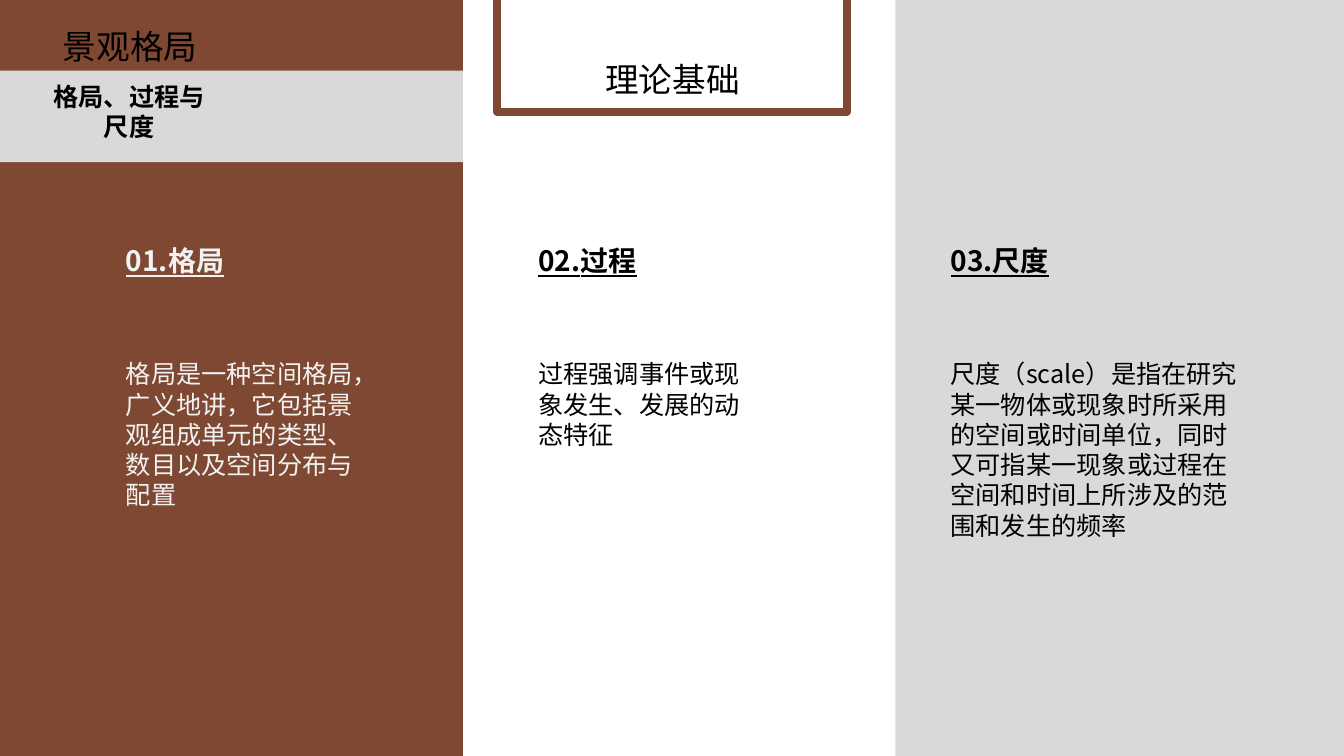
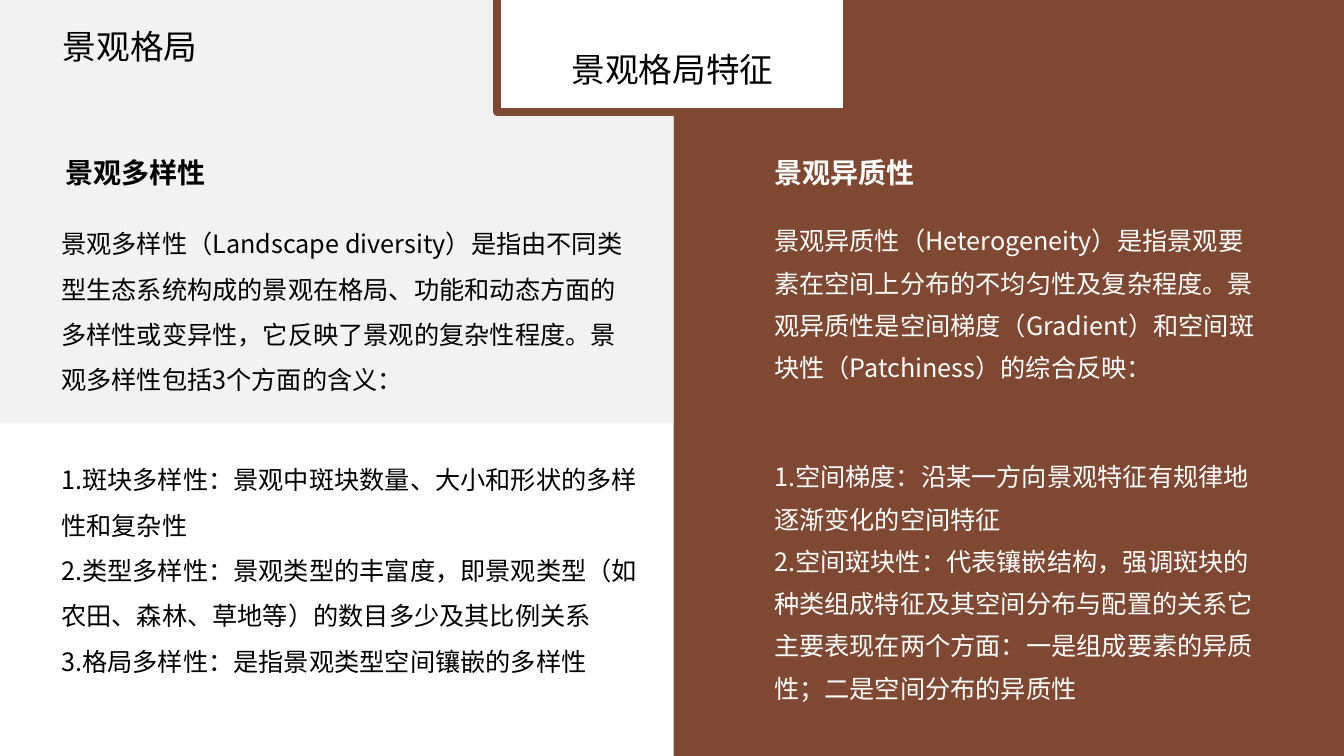
"""Builds two slides on landscape pattern: its theory and its features."""
from lxml import etree
from pptx import Presentation
from pptx.dml.color import RGBColor
from pptx.enum.shapes import MSO_SHAPE as SHAPE
from pptx.enum.text import MSO_ANCHOR as ANCHOR, PP_ALIGN as ALIGN
from pptx.oxml.ns import qn
from pptx.util import Inches, Pt

COLORS = {
    "brown": "7E4832",
    "gray": "D9D9D9",
    "pale": "F2F2F2",
    "white": "FFFFFF",
    "black": "000000",
}
FONT = "Noto Sans CJK SC"
SLIDE_WIDTH, SLIDE_HEIGHT = 13.33, 7.5
TITLE_SIZE, HEADING_SIZE, BODY_SIZE = 24, 20, 18


def rgb(name):
    return RGBColor.from_string(COLORS[name])


def add_panel(slide, left, top, width, height, fill, border=None):
    shape = slide.shapes.add_shape(
        SHAPE.RECTANGLE, Inches(left), Inches(top), Inches(width), Inches(height))
    shape.shadow.inherit = False
    shape.fill.solid()
    shape.fill.fore_color.rgb = rgb(fill)
    if border:
        shape.line.color.rgb = rgb(border)
        shape.line.width = Pt(5.5)
    else:
        shape.line.fill.background()


def format_run(run, size, color, bold, underline):
    font = run.font
    font.size, font.bold, font.underline = Pt(size), bold, underline
    font.color.rgb = rgb(color)
    font.name = FONT
    east_asian = etree.Element(qn("a:ea"), typeface=FONT)
    font._element.find(qn("a:latin")).addnext(east_asian)


def add_text(slide, left, top, width, height, text, size=BODY_SIZE, color="black",
             bold=None, underline=None, align=ALIGN.LEFT, anchor=ANCHOR.TOP,
             spacing=None):
    box = slide.shapes.add_textbox(
        Inches(left), Inches(top), Inches(width), Inches(height))
    frame = box.text_frame
    frame.word_wrap = True
    frame.vertical_anchor = anchor
    frame.text = text
    for paragraph in frame.paragraphs:
        paragraph.alignment = align
        paragraph.line_spacing = spacing
        for run in paragraph.runs:
            format_run(run, size, color, bold, underline)


def add_title(slide, left, top, width, text):
    add_text(slide, left, top, width, 0.69, text, TITLE_SIZE,
             align=ALIGN.CENTER, anchor=ANCHOR.BOTTOM, spacing=0.9)


def add_heading(slide, left, top, height, text, color, underline=None):
    add_text(slide, left, top, 3.29, height, text, HEADING_SIZE, color,
             bold=True, underline=underline, anchor=ANCHOR.MIDDLE)


def add_header(slide, title, title_top):
    add_panel(slide, 4.93, -0.6, 3.47, 1.71, "white", "brown")
    add_title(slide, 5.12, title_top, 3.1, title)
    add_title(slide, 0.02, 0.02, 2.54, "景观格局")


def build_theory(slide):
    add_panel(slide, 8.88, 0, SLIDE_WIDTH - 8.88, SLIDE_HEIGHT, "gray")
    add_panel(slide, 0, 0, 4.59, SLIDE_HEIGHT, "brown")
    add_panel(slide, 0, 0.7, 4.59, 0.91, "gray")
    add_header(slide, "理论基础", 0.35)
    add_text(slide, 0.43, 0.76, 1.7, 0.71, "格局、过程与尺度",
             bold=True, align=ALIGN.CENTER)
    columns = [
        ("01.格局", "pale", 2.64, 1.62,
         "格局是一种空间格局，广义地讲，它包括景观组成单元的类型、数目以及空间分布与配置"),
        ("02.过程", "black", 2.25, 0.73,
         "过程强调事件或现象发生、发展的动态特征"),
        ("03.尺度", "black", 3.17, 3.35,
         "尺度（scale）是指在研究某一物体或现象时所采用的空间或时间单位，"
         "同时又可指某一现象或过程在空间和时间上所涉及的范围和发生的频率"),
    ]
    for index, (heading, color, width, height, body) in enumerate(columns):
        left = 1.15 + 4.09 * index
        add_heading(slide, left, 2.29, 0.59, heading, color, underline=True)
        add_text(slide, left, 3.51, width, height, body, color=color)


def build_features(slide):
    add_panel(slide, 6.68, 0, SLIDE_WIDTH - 6.68, SLIDE_HEIGHT, "brown")
    add_panel(slide, 0, 0, 6.68, 4.2, "pale")
    add_header(slide, "景观格局特征", 0.25)

    add_heading(slide, 0.55, 1.47, 0.48, "景观多样性", "black")
    add_text(slide, 0.51, 2.07, 5.77, 2.14,
             "景观多样性（Landscape diversity）是指由不同类型生态系统构成的景观在格局、"
             "功能和动态方面的多样性或变异性，它反映了景观的复杂性程度。"
             "景观多样性包括3个方面的含义：", spacing=1.5)
    add_text(slide, 0.51, 4.41, 6.01, 2.9,
             "1.斑块多样性：景观中斑块数量、大小和形状的多样性和复杂性\n"
             "2.类型多样性：景观类型的丰富度，即景观类型（如农田、森林、草地等）"
             "的数目多少及其比例关系\n"
             "3.格局多样性：是指景观类型空间镶嵌的多样性", spacing=1.5)

    add_heading(slide, 7.58, 1.47, 0.48, "景观异质性", "white")
    add_text(slide, 7.58, 2.07, 5.04, 2,
             "景观异质性（Heterogeneity）是指景观要素在空间上分布的不均匀性及复杂程度。"
             "景观异质性是空间梯度（Gradient）和空间斑块性（Patchiness）的综合反映：",
             color="white", spacing=1.4)
    add_text(slide, 7.58, 4.41, 5.04, 2.9,
             "1.空间梯度：沿某一方向景观特征有规律地逐渐变化的空间特征\n"
             "2.空间斑块性：代表镶嵌结构，强调斑块的种类组成特征及其空间分布与配置的关系"
             "它主要表现在两个方面：一是组成要素的异质性；二是空间分布的异质性",
             color="white", spacing=1.4)


def main():
    presentation = Presentation()
    presentation.slide_width = Inches(SLIDE_WIDTH)
    presentation.slide_height = Inches(SLIDE_HEIGHT)
    blank = presentation.slide_layouts[6]
    for build in (build_theory, build_features):
        build(presentation.slides.add_slide(blank))
    presentation.save("out.pptx")


if __name__ == "__main__":
    main()
